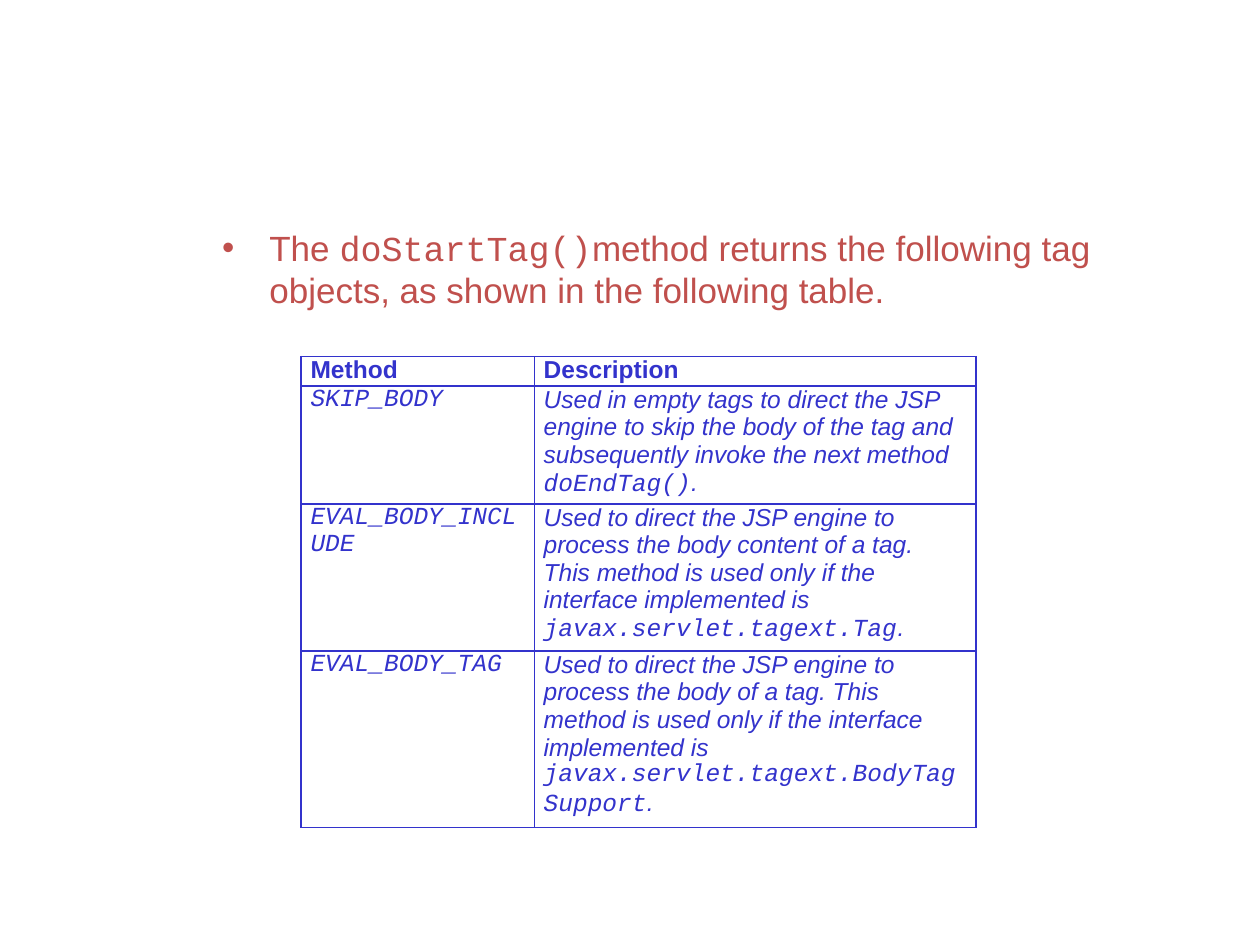
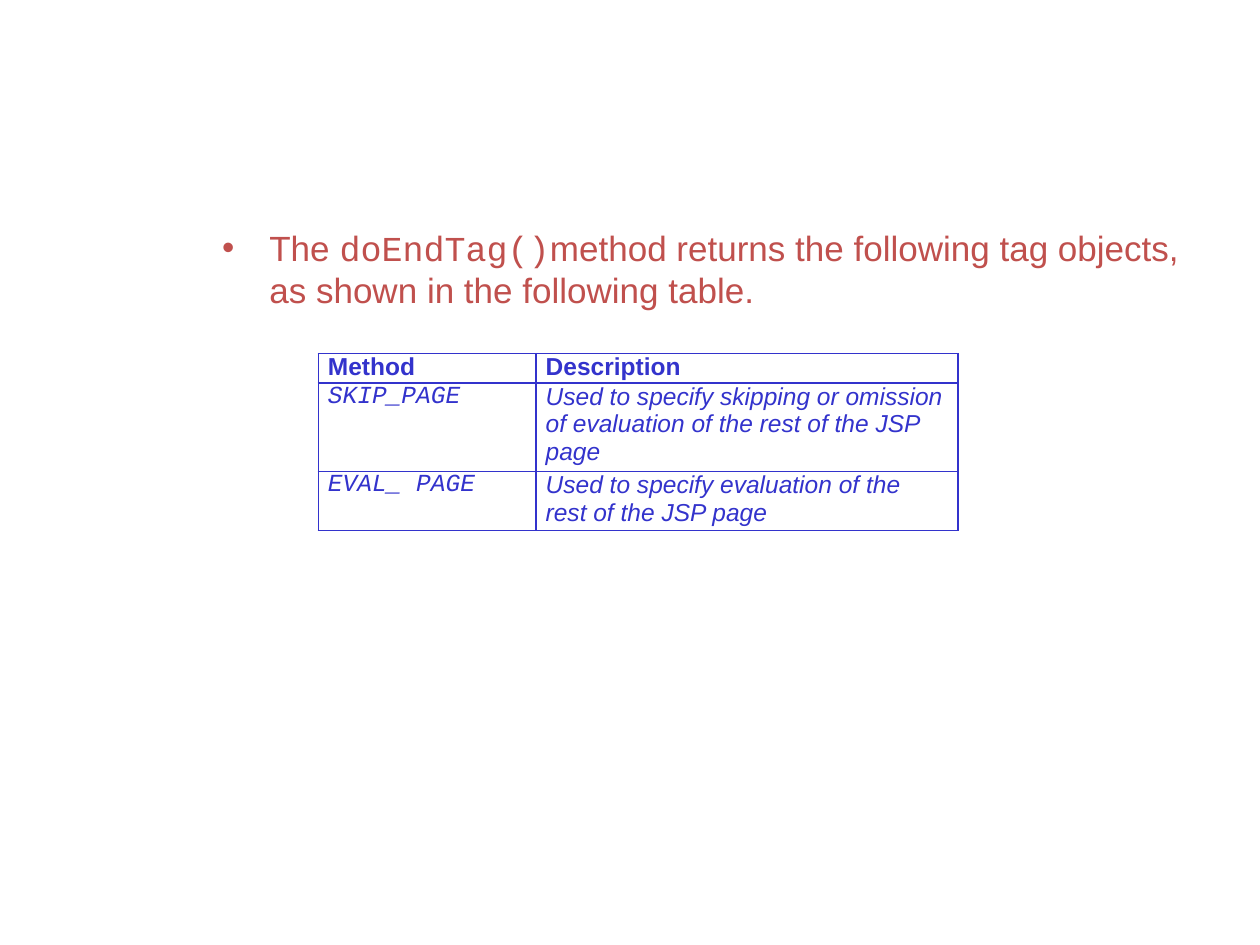
"""Build two slides on the values returned by the JSP tag methods."""
from dataclasses import dataclass
from lxml import etree
from pptx import Presentation
from pptx import util as u
from pptx.dml import color
from pptx.oxml import ns


@dataclass(frozen=True)
class Theme:
    red: color.RGBColor = color.RGBColor.from_string("C0504D")
    blue: color.RGBColor = color.RGBColor.from_string("3333CC")
    sans: str = "Arial"
    mono: str = "Courier New"
    lead: u.Pt = u.Pt(20)
    body: u.Pt = u.Pt(14)
    rule: u.Pt = u.Pt(1)


theme = Theme()


def write(para, text, size, tint, bold=False, slant=False):
    """Add runs, with the parts between bars in the code font."""
    for i, part in enumerate(text.split("|")):
        if part:
            run = para.add_run()
            run.text = part
            font = run.font
            font.name = theme.mono if i % 2 else theme.sans
            font.size, font.bold, font.italic = size, bold, slant
            font.color.rgb = tint


def frame(cell):
    """Draw a thin line on all four sides of a cell."""
    props = cell._tc.get_or_add_tcPr()
    for side in ("lnL", "lnR", "lnT", "lnB"):
        line = etree.SubElement(props, ns.qn("a:" + side), w=str(theme.rule))
        fill = etree.SubElement(line, ns.qn("a:solidFill"))
        etree.SubElement(fill, ns.qn("a:srgbClr"), val=str(theme.blue))


head = ("Method", "Description")
pages = [
    ("doStartTag()", (6.07, 7.19), (4.7, 8.9), (0.59, 2.36, 2.97, 3.55), [
        head,
        ("|SKIP_BODY",
         "Used in empty tags to direct the JSP engine to skip the body of the tag "
         "and subsequently invoke the next method |doEndTag()|."),
        ("|EVAL_BODY_INCLUDE",
         "Used to direct the JSP engine to process the body content of a tag. This method "
         "is used only if the interface implemented is |javax.servlet.tagext.Tag|."),
        ("|EVAL_BODY_TAG",
         "Used to direct the JSP engine to process the body of a tag. This method is used "
         "only if the interface implemented is |javax.servlet.tagext.BodyTagSupport|."),
    ]),
    ("doEndTag()", (6.42, 7.13), (4.39, 8.5), (0.59, 1.78, 1.19), [
        head,
        ("|SKIP_PAGE",
         "Used to specify skipping or omission of evaluation of the rest of the JSP page"),
        ("|EVAL_ PAGE", "Used to specify evaluation of the rest of the JSP page"),
    ]),
]

deck = Presentation()
deck.slide_width, deck.slide_height = u.Cm(25.4), u.Cm(19.05)

for method, spot, widths, heights, rows in pages:
    slide = deck.slides.add_slide(deck.slide_layouts[6])

    box = slide.shapes.add_textbox(u.Cm(4.23), u.Cm(4.45), u.Cm(20.32), u.Cm(12.7))
    box.text_frame.word_wrap = True
    para = box.text_frame.paragraphs[0]
    para.space_before = u.Pt(4)
    props = para._p.get_or_add_pPr()
    props.set("marL", str(u.Cm(0.95)))
    props.set("indent", str(u.Cm(-0.95)))
    etree.SubElement(props, ns.qn("a:buFont"), typeface=theme.sans)
    etree.SubElement(props, ns.qn("a:buChar"), char="•")
    write(para, f"The |{method}|method returns the following tag objects, "
          "as shown in the following table.", theme.lead, theme.red)

    left, top = spot
    table = slide.shapes.add_table(
        len(rows), len(widths), u.Cm(left), u.Cm(top),
        u.Cm(sum(widths)), u.Cm(sum(heights))).table
    table.first_row = table.horz_banding = False
    for col, width in zip(table.columns, widths):
        col.width = u.Cm(width)
    for r, (row, height) in enumerate(zip(rows, heights)):
        table.rows[r].height = u.Cm(height)
        for c, text in enumerate(row):
            cell = table.cell(r, c)
            cell.margin_left = cell.margin_right = u.Cm(0.19)
            cell.margin_top = cell.margin_bottom = 0
            frame(cell)
            cell.fill.background()
            write(cell.text_frame.paragraphs[0], text, theme.body, theme.blue,
                  bold=r == 0, slant=r > 0)

deck.save("out.pptx")
